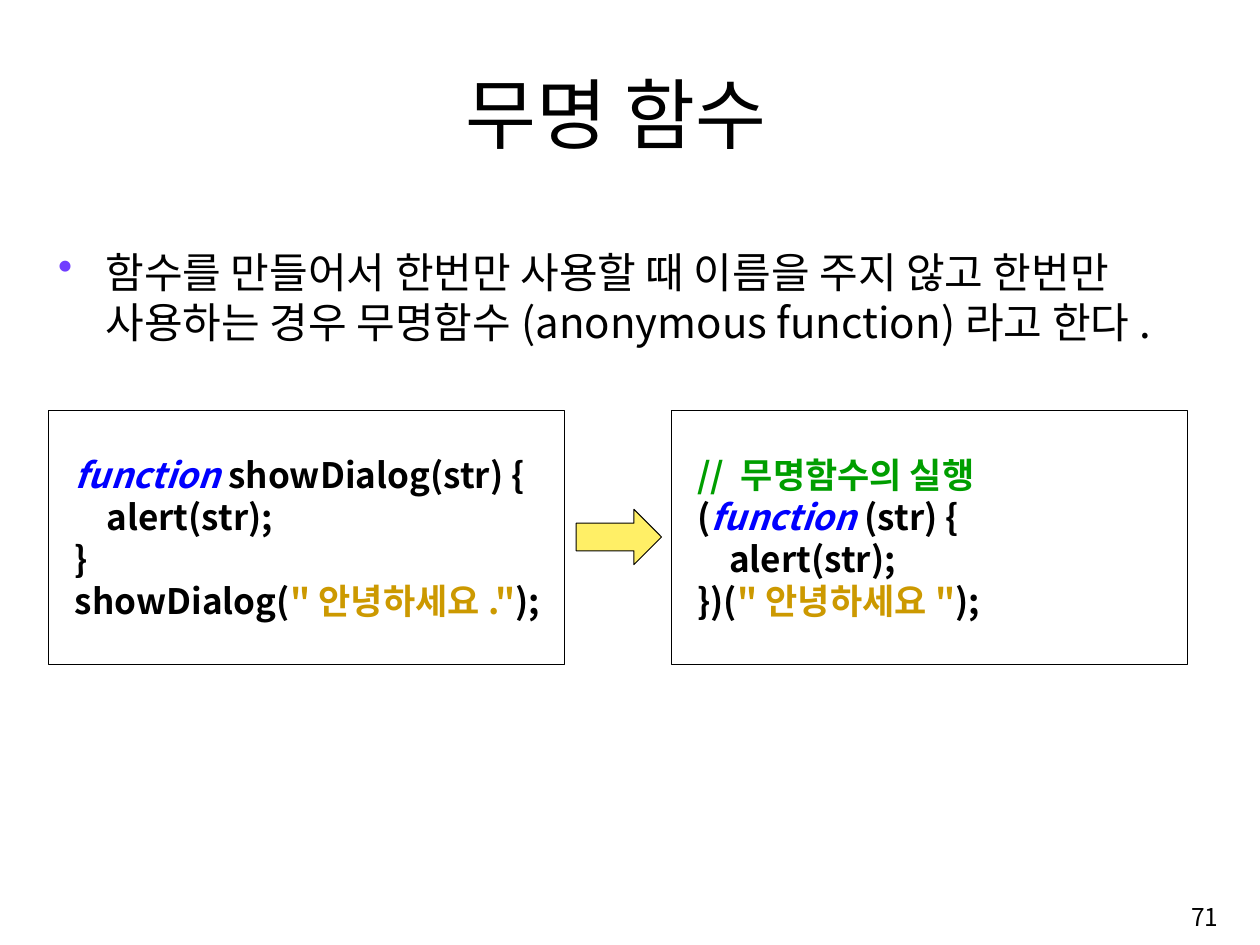
from lxml.etree import SubElement
from pptx import Presentation
from pptx.dml.color import RGBColor
from pptx.enum.shapes import MSO_SHAPE as Shape
from pptx.enum.text import MSO_ANCHOR as Anchor, PP_ALIGN as Align
from pptx.oxml.ns import qn
from pptx.util import Inches, Pt

FONT = "Noto Sans CJK KR"
COLORS = {
    "text": "000000",
    "paper": "FFFFFF",
    "bullet": "703DFF",
    "keyword": "0000FF",
    "string": "CC9900",
    "comment": "009E00",
    "arrow": "FFEF66",
}

# Each code line is a list of (text, colour name) pieces.
NAMED_CODE = [
    [("function ", "keyword"), ("showDialog(str) {", "text")],
    [("    alert(str);", "text")],
    [("}", "text")],
    [("showDialog(", "text"), ('"안녕하세요."', "string"), (");", "text")],
]
ANONYMOUS_CODE = [
    [("// 무명함수의 실행", "comment")],
    [("(", "text"), ("function", "keyword"), (" (str) {", "text")],
    [("    alert(str);", "text")],
    [("})(", "text"), ('"안녕하세요"', "string"), (");", "text")],
]


def color(name):
    return RGBColor.from_string(COLORS[name])


class SlideBuilder:
    def __init__(self, slide):
        self.slide = slide

    def style(self, paragraph, size, bold=False):
        font = paragraph.font
        font.size, font.bold, font.name = Pt(size), bold, FONT
        font.color.rgb = color("text")
        east_asian = SubElement(paragraph._p.pPr.find(qn("a:defRPr")), qn("a:ea"))
        east_asian.set("typeface", FONT)

    def text(self, box, content, size, align=Align.LEFT, anchor=Anchor.TOP, bullet=False):
        frame = self.slide.shapes.add_textbox(*map(Inches, box)).text_frame
        frame.word_wrap = True
        frame.vertical_anchor = anchor
        paragraph = frame.paragraphs[0]
        paragraph.text = content
        paragraph.alignment = align
        if bullet:
            self.add_bullet(paragraph)
        self.style(paragraph, size)

    def add_bullet(self, paragraph):
        properties = paragraph._p.get_or_add_pPr()
        properties.set("marL", str(Inches(0.49)))
        properties.set("indent", str(-Inches(0.49)))
        bullet_color = SubElement(properties, qn("a:buClr"))
        SubElement(bullet_color, qn("a:srgbClr")).set("val", COLORS["bullet"])
        SubElement(properties, qn("a:buChar")).set("char", "•")

    def shape(self, kind, box, fill):
        shape = self.slide.shapes.add_shape(kind, *map(Inches, box))
        shape.shadow.inherit = False
        shape.fill.solid()
        shape.fill.fore_color.rgb = color(fill)
        shape.line.color.rgb = color("text")
        shape.line.width = Pt(0.75)
        return shape

    def code(self, box, lines):
        frame = self.shape(Shape.RECTANGLE, box, "paper").text_frame
        frame.word_wrap = True
        frame.vertical_anchor = Anchor.MIDDLE
        frame.margin_left = frame.margin_right = Inches(0.13)
        frame.margin_top = frame.margin_bottom = Inches(0.06)
        for index, pieces in enumerate(lines):
            paragraph = frame.add_paragraph() if index else frame.paragraphs[0]
            paragraph.alignment = Align.LEFT
            paragraph._p.get_or_add_pPr().set("marL", str(Inches(0.14)))
            self.style(paragraph, 26, bold=True)
            for content, color_name in pieces:
                run = paragraph.add_run()
                run.text = content
                run.font.color.rgb = color(color_name)
                run.font.italic = color_name == "keyword"


def main():
    presentation = Presentation()
    presentation.slide_width = Inches(12.99)
    presentation.slide_height = Inches(9.74)
    builder = SlideBuilder(presentation.slides.add_slide(presentation.slide_layouts[6]))

    builder.text((1.05, 0.61, 10.61, 1.08), "무명 함수", 57.2, Align.CENTER, Anchor.BOTTOM)
    builder.text(
        (0.5, 2.49, 12.32, 7.06),
        "함수를 만들어서 한번만 사용할 때 이름을 주지 않고 한번만 "
        "사용하는 경우 무명함수(anonymous function)라고 한다.",
        31.2,
        bullet=True,
    )
    for left, lines in ((0.5, NAMED_CODE), (6.92, ANONYMOUS_CODE)):
        builder.code((left, 4.23, 5.32, 2.62), lines)
    builder.shape(Shape.RIGHT_ARROW, (5.94, 5.25, 0.88, 0.57), "arrow")
    builder.text((9.98, 9.15, 2.68, 0.6), "71", 18.2, Align.RIGHT, Anchor.MIDDLE)

    presentation.save("out.pptx")


if __name__ == "__main__":
    main()
